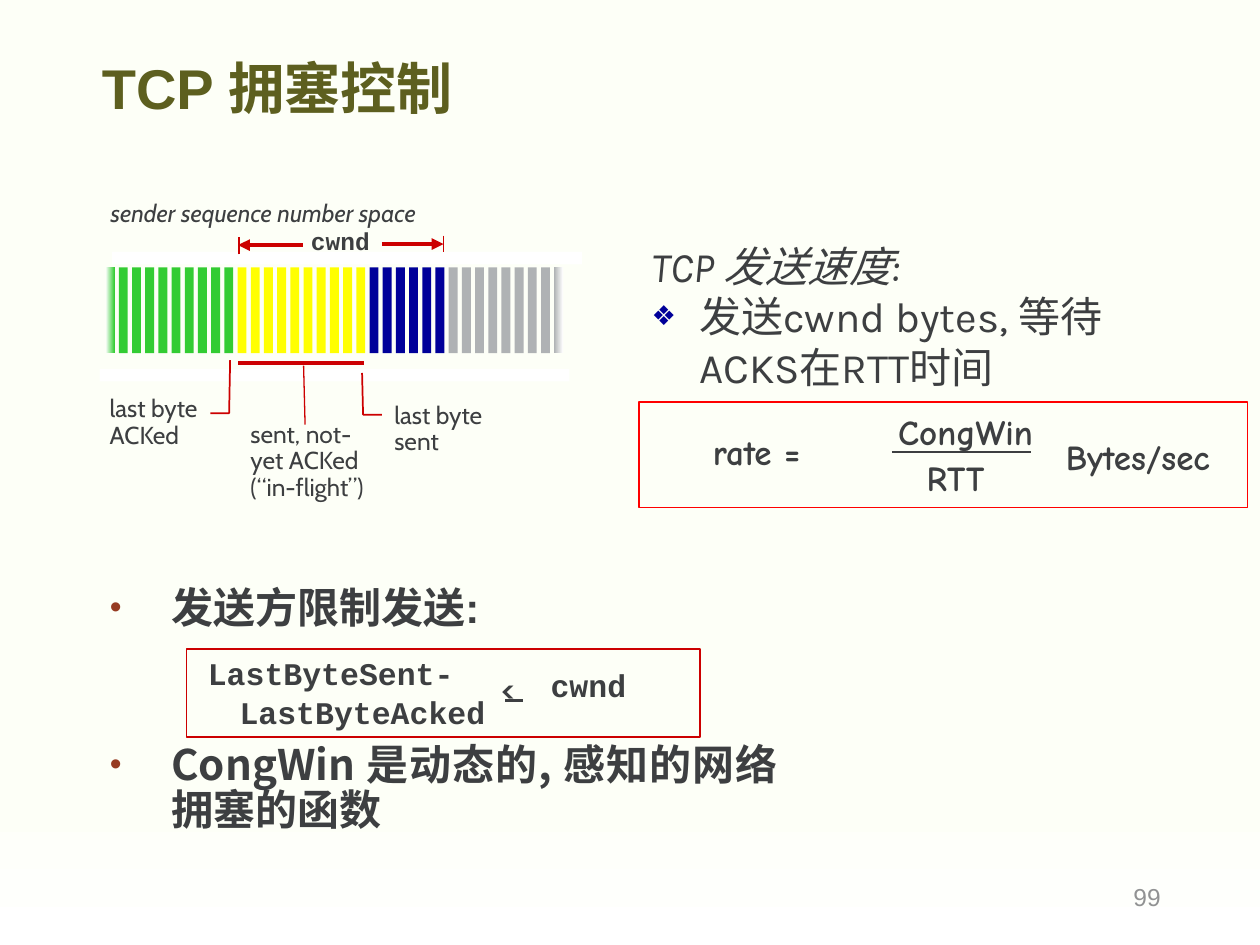
from dataclasses import dataclass
from typing import NamedTuple, Optional

from lxml.etree import SubElement
from pptx import Presentation
from pptx.dml.color import RGBColor
from pptx.enum.lang import MSO_LANGUAGE_ID
from pptx.enum.shapes import MSO_CONNECTOR, MSO_SHAPE
from pptx.enum.text import MSO_ANCHOR, MSO_AUTO_SIZE, PP_ALIGN
from pptx.oxml.ns import qn
from pptx.util import Cm, Pt


@dataclass(frozen=True)
class Theme:
    ink: str = "3D3F41"
    olive: str = "5D5F1F"
    rust: str = "963B22"
    gray: str = "919293"
    red: str = "CC0000"
    frame: str = "FF0000"
    navy: str = "000099"
    green: str = "33CC33"
    gold: str = "FFFF00"
    ash: str = "AFB2B4"
    white: str = "FFFFFF"
    cream: str = "FDFFF7"
    head: int = 32
    body: int = 24
    rate: int = 20
    code: int = 18
    note: int = 14


T = Theme()


class Box(NamedTuple):
    left: float
    top: float
    wide: float
    high: float


class Face(NamedTuple):
    name: str
    size: int
    hue: str = T.ink
    bold: bool = False
    slant: bool = False


class Label(NamedTuple):
    text: str
    box: Box
    face: Face
    wrap: bool = False
    align: PP_ALIGN = PP_ALIGN.LEFT
    gap: float = 1.0


class Line(NamedTuple):
    start: tuple
    end: tuple
    width: float = 0.75
    hue: str = T.red
    arrow: bool = False


class Bullet(NamedTuple):
    char: str
    hue: str
    size: int


def color(hue: str) -> RGBColor:
    return RGBColor.from_string(hue)


def style(para, face: Face) -> None:
    for run in para.runs:
        font = run.font
        font.name, font.size = face.name, Pt(face.size)
        font.bold, font.italic = face.bold, face.slant
        font.color.rgb = color(face.hue)


def write(shapes, item: Label):
    shape = shapes.add_textbox(*map(Cm, item.box))
    frame = shape.text_frame
    frame.text = item.text
    frame.word_wrap = item.wrap
    for para in frame.paragraphs:
        para.alignment = item.align
        para.line_spacing = item.gap
        style(para, item.face)
    return frame


def indent(para, left: float, first: float, mark: Optional[Bullet] = None) -> None:
    props = para._p.get_or_add_pPr()
    props.set("marL", str(Cm(left)))
    props.set("indent", str(Cm(first)))
    if mark is None:
        SubElement(props, qn("a:buNone"))
        return
    tint = SubElement(props, qn("a:buClr"))
    SubElement(tint, qn("a:srgbClr"), val=mark.hue)
    SubElement(props, qn("a:buSzPct"), val=str(mark.size * 1000))
    SubElement(props, qn("a:buChar"), char=mark.char)


def blend(fill, first: str, last: str, angle: int = 0, start: float = 0) -> None:
    fill.gradient()
    fill.gradient_angle = angle
    for stop, hue, spot in zip(fill.gradient_stops, (first, last), (start, 1)):
        stop.color.rgb = color(hue)
        stop.position = spot


def block(shapes, box: Box, hue: str):
    shape = shapes.add_shape(MSO_SHAPE.RECTANGLE, *map(Cm, box))
    shape.shadow.inherit = False
    shape.fill.solid()
    shape.fill.fore_color.rgb = color(hue)
    shape.line.fill.background()
    return shape


def edge(shape, hue: str) -> None:
    shape.shadow.inherit = False
    shape.fill.background()
    shape.line.color.rgb = color(hue)
    shape.line.width = Pt(1)


def frame(shapes, box: Box, hue: str) -> None:
    edge(shapes.add_shape(MSO_SHAPE.RECTANGLE, *map(Cm, box)), hue)


def elbow(shapes, spots: list) -> None:
    first, *rest = [(Cm(x), Cm(y)) for x, y in spots]
    path = shapes.build_freeform(*first)
    path.add_line_segments(rest, close=False)
    edge(path.convert_to_shape(), T.red)


def link(shapes, item: Line) -> None:
    wire = shapes.add_connector(MSO_CONNECTOR.STRAIGHT, *map(Cm, item.start + item.end))
    wire.line.color.rgb = color(item.hue)
    wire.line.width = Pt(item.width)
    props = wire._element.spPr
    if item.arrow:
        SubElement(props.find(qn("a:ln")), qn("a:tailEnd"), type="triangle")
    SubElement(props, qn("a:effectLst"))


def fill(holder, box: Box, text: str, face: Face):
    holder.left, holder.top, holder.width, holder.height = map(Cm, box)
    area = holder.text_frame
    area.text = text
    area.auto_size = MSO_AUTO_SIZE.NONE
    area.word_wrap = True
    for para in area.paragraphs:
        para.space_before = Pt(0)
        style(para, face)
        for run in para.runs:
            run.font.language_id = MSO_LANGUAGE_ID.SIMPLIFIED_CHINESE
    return area


def draw_text(slide) -> None:
    title, limit, speed = slide.placeholders
    area = fill(title, Box(1.8, 0.86, 18.67, 1.96), "TCP 拥塞控制",
                Face("Arial", T.head, T.olive, True))
    area.vertical_anchor = MSO_ANCHOR.MIDDLE
    area.paragraphs[0].alignment = PP_ALIGN.LEFT
    area.paragraphs[0].line_spacing = 0.9

    area = fill(limit, Box(1.96, 11.6, 13.97, 5.6),
                "发送方限制发送:\nCongWin 是动态的, 感知的网络拥塞的函数",
                Face("Arial", T.body, bold=True))
    for para in area.paragraphs:
        indent(para, 1.24, -1.24, Bullet("•", T.rust, 80))
        para.alignment = PP_ALIGN.JUSTIFY
    last = area.paragraphs[1]
    last.space_before, last.line_spacing = Pt(64), 0.9
    style(last, Face("Noto Sans CJK SC", T.body, bold=True))

    area = fill(speed, Box(12.88, 4.72, 10.59, 6.81),
                "TCP 发送速度:\n发送cwnd bytes, 等待ACKS在RTT时间",
                Face("Karla", T.body))
    first, last = area.paragraphs
    indent(first, 0.96, -0.96)
    indent(last, 0.96, -0.96, Bullet("❖", T.navy, 65))
    style(first, Face("Karla", T.body, slant=True))

    write(slide.shapes, Label("99", Box(17.93, 17.65, 5.72, 1.02),
                              Face("Arial", T.note, T.gray), True, PP_ALIGN.RIGHT))


def draw_rate(shapes) -> None:
    face = Face("Comic Neue", T.rate, bold=True)
    for text, box in (
        ("rate =", Box(13.86, 8.56, 2.79, 1.09)),
        ("CongWin", Box(17.74, 8.15, 3.45, 1.09)),
        ("RTT", Box(18.25, 9.07, 2.03, 1.09)),
        ("Bytes/sec", Box(21.01, 8.66, 3.86, 1.09)),
    ):
        write(shapes, Label(text, box, face, align=PP_ALIGN.CENTER))
    link(shapes, Line((17.98, 9.12), (20.78, 9.12), 1, T.ink))
    frame(shapes, Box(12.88, 8.1, 12.27, 2.13), T.frame)


def draw_space(shapes) -> None:
    hues = [T.green] * 10 + [T.gold] * 10 + [T.navy] * 6 + [T.ash] * 9
    bars = [block(shapes, Box(2.13 + 0.266 * i, 5.39, 0.18, 1.73), hue)
            for i, hue in enumerate(hues)]
    blend(bars[0].fill, T.white, T.green)
    blend(bars[-1].fill, T.ash, T.white)
    for left, top in ((2.01, 7.44), (2.26, 5.08)):
        block(shapes, Box(left, top, 9.47, 0.25), T.white)
    for item in (
        Line((4.8, 7.32), (7.34, 7.32), 2.25),
        Line((6.12, 7.37), (6.15, 8.56)),
        Line((7.7, 4.92), (8.94, 4.92), 2.25, arrow=True),
        Line((8.94, 4.75), (8.94, 5.08)),
        Line((6.1, 4.94), (4.8, 4.94), 2.25, arrow=True),
        Line((4.82, 5.13), (4.82, 4.78)),
    ):
        link(shapes, item)
    elbow(shapes, [(4.64, 7.26), (4.62, 8.33), (4.24, 8.33)])
    elbow(shapes, [(7.3, 7.52), (7.32, 8.36), (7.7, 8.36)])
    note = Face("Cabin", T.note)
    for item in (
        Label("last byte\nACKed", Box(1.96, 7.87, 2.36, 1.32), note, gap=0.9),
        Label("sent, not-yet ACKed\n(“in-flight”)", Box(4.8, 8.38, 2.97, 1.85),
              note, True, gap=0.9),
        Label("last byte sent", Box(7.7, 8, 2.97, 1.32), note, True, gap=0.9),
        Label("cwnd", Box(6.02, 4.5, 1.7, 0.79),
              Face("Courier New", T.note, bold=True), gap=0.9),
        Label("sender sequence number space", Box(1.98, 3.86, 7.57, 0.84),
              Face("Cabin", T.note, slant=True)),
    ):
        write(shapes, item)


def draw_limit(shapes) -> None:
    code = Face("Courier New", T.code, bold=True)
    area = write(shapes, Label("LastByteSent-\nLastByteAcked",
                               Box(3.94, 13.18, 7.82, 1.7), code, True, gap=0.85))
    last = area.paragraphs[1]
    indent(last, 0.64, 0)
    last.space_before = Pt(3.6)
    write(shapes, Label("<", Box(9.86, 13.39, 0.97, 0.94),
                        Face("Cabin", T.code, bold=True)))
    link(shapes, Line((10.19, 14.12), (10.54, 14.12), 1.5, T.ink))
    write(shapes, Label("cwnd", Box(10.85, 13.31, 2.03, 1.02), code))
    frame(shapes, Box(3.76, 13.08, 10.36, 1.78), T.red)


def main() -> None:
    deck = Presentation()
    deck.slide_width, deck.slide_height = Cm(25.4), Cm(19.05)
    slide = deck.slides.add_slide(deck.slide_layouts[3])
    blend(slide.background.fill, T.cream, T.white, 270, 0.84)
    draw_text(slide)
    for draw in (draw_rate, draw_space, draw_limit):
        draw(slide.shapes.add_group_shape().shapes)
    deck.save("out.pptx")


if __name__ == "__main__":
    main()
